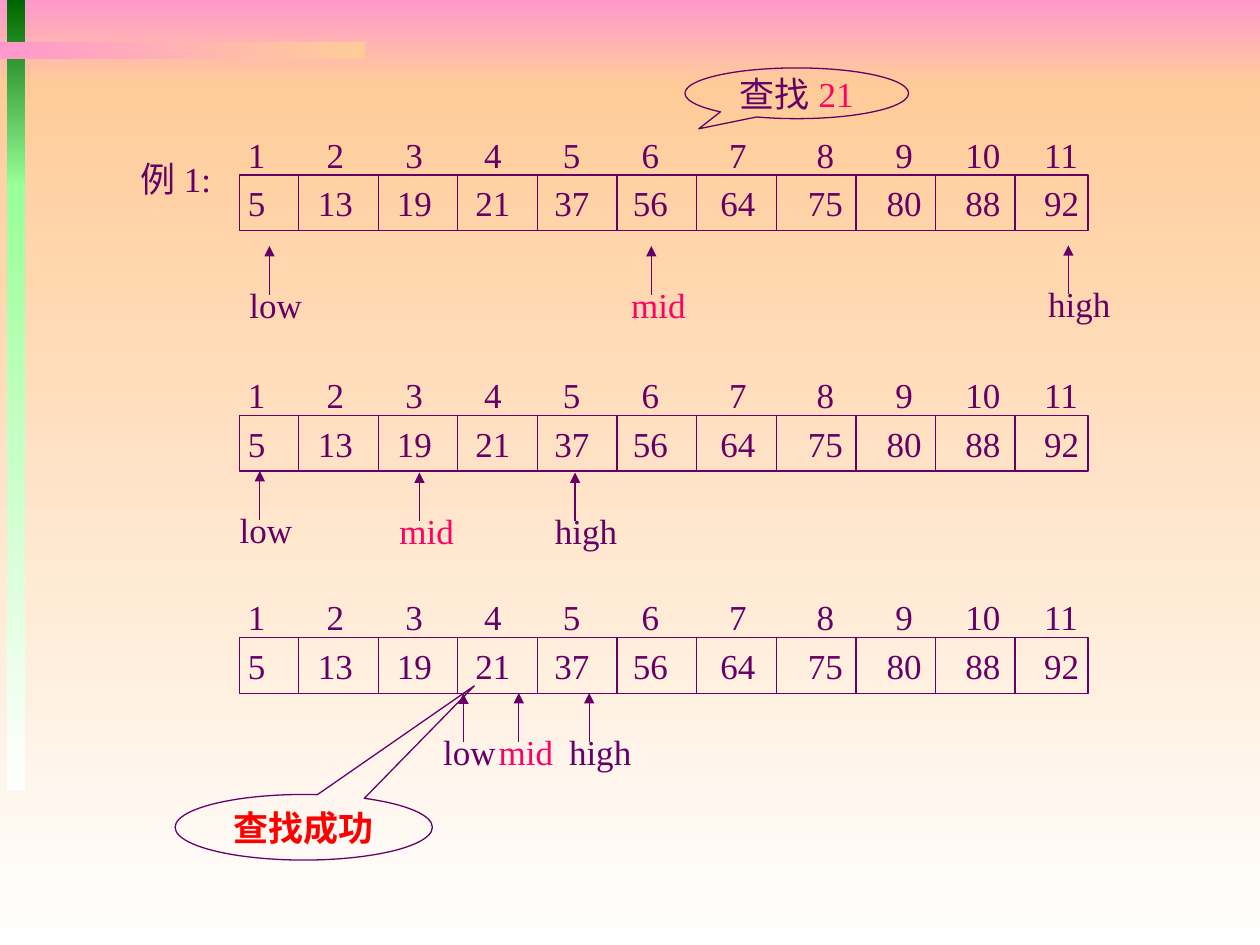
"""Build a slide that traces a binary search for 21 through three steps."""
import pptx
import pptx.util
import pptx.dml.color
import pptx.enum.shapes
import pptx.enum.text
import pptx.oxml.ns
import lxml.etree

Pt = pptx.util.Pt
SHAPES = pptx.enum.shapes.MSO_SHAPE
ALIGN = pptx.enum.text.PP_ALIGN
COLORS = {
    "ink": "660066", "mid": "FF0066", "found": "FF0000", "pink": "FF99CC",
    "peach": "FFCC99", "white": "FFFFFF", "forest": "006600", "mint": "99FF99",
}


def color(name):
    return pptx.dml.color.RGBColor.from_string(COLORS[name])


def write(box, runs, align=ALIGN.LEFT, wrap=False, bold=False, tabs=()):
    frame = box.text_frame
    frame.word_wrap = wrap
    para = frame.paragraphs[0]
    para.alignment = align
    if tabs:
        properties = para._p.get_or_add_pPr()
        stops = lxml.etree.SubElement(properties, pptx.oxml.ns.qn("a:tabLst"))
        for position in tabs:
            lxml.etree.SubElement(stops, pptx.oxml.ns.qn("a:tab"), pos=str(Pt(position)), algn="l")
    for text, name in runs:
        span = para.add_run()
        span.text = text
        span.font.size = Pt(20)
        span.font.name = "Times New Roman"
        span.font.bold = bold
        span.font.color.rgb = color(name)


deck = pptx.Presentation()
deck.slide_width, deck.slide_height = Pt(720), Pt(540)
page = deck.slides.add_slide(deck.slide_layouts[6])
shapes = page.shapes

bands = [
    (0, 0, 720, 48.5, "pink", "peach", 270),
    (0, 48, 720, 492, "peach", "white", 270),
    (4, 0, 10.3, 106.5, "forest", "mint", 270),
    (4, 105, 10.3, 346.5, "mint", "white", 270),
    (0, 24, 208.4, 9.8, "pink", "peach", 0),
]
for left, top, width, height, start, end, angle in bands:
    band = shapes.add_shape(SHAPES.RECTANGLE, Pt(left), Pt(top), Pt(width), Pt(height))
    band.shadow.inherit = False
    band.line.fill.background()
    band.fill.gradient()
    band.fill.gradient_angle = angle
    for stop, name in zip(band.fill.gradient_stops, (start, end)):
        stop.color.rgb = color(name)

label = shapes.add_textbox(Pt(73.2), Pt(86.5), Pt(60), Pt(31.5))
write(label, [("例1:", "ink")])

indexes = [str(number) for number in range(1, 12)]
values = ["5", "13", "19", "21", "37", "56", "64", "75", "80", "88", "92"]
index_tabs = [45, 90, 135, 180, 225, 275, 325, 370, 410, 455]
value_tabs = [40, 85, 130, 175, 220, 270, 320, 365, 410, 455]
label_widths = {"low": 45, "mid": 46, "high": 50.5}
array_left, array_width, array_height = 137, 484.8, 31.8
arrow_length = 27.8

steps = [
    (100.1, {"low": (154, 140.6), "high": (610.5, 140.2), "mid": (372.2, 140.6)}),
    (237.4, {"low": (148.5, 269.2), "high": (328.6, 270), "mid": (239.7, 270)}),
    (364.5, {"low": (264.8, 396.3), "high": (336.7, 396), "mid": (296.5, 396)}),
]
for top, pointers in steps:
    index_row = shapes.add_textbox(Pt(134.6), Pt(top - 27.5), Pt(490), Pt(31.5))
    write(index_row, [("\t".join(indexes), "ink")], wrap=True, tabs=index_tabs)

    array = shapes.add_shape(
        SHAPES.RECTANGLE, Pt(array_left), Pt(top), Pt(array_width), Pt(array_height))
    array.shadow.inherit = False
    array.fill.background()
    array.line.color.rgb = color("ink")
    array.line.width = Pt(0.75)
    array.text_frame.margin_left = Pt(4.7)
    array.text_frame.margin_right = Pt(0)
    write(array, [("\t".join(values), "ink")], wrap=True, tabs=value_tabs)

    dividers = [170.6 + 45.5 * column for column in range(10)]
    lines = [(x, top, top + array_height, False) for x in dividers]
    lines += [(x, tip + arrow_length, tip, True) for x, tip in pointers.values()]
    for x, start, end, arrow in lines:
        line = shapes.add_connector(
            pptx.enum.shapes.MSO_CONNECTOR.STRAIGHT, Pt(x), Pt(start), Pt(x), Pt(end))
        line.line.color.rgb = color("ink")
        line.line.width = Pt(0.75)
        if arrow:
            lxml.etree.SubElement(
                line.line._get_or_add_ln(), pptx.oxml.ns.qn("a:tailEnd"), type="triangle")
        lxml.etree.SubElement(line._element.spPr, pptx.oxml.ns.qn("a:effectLst"))

    for name, (x, tip) in pointers.items():
        pointer = shapes.add_textbox(
            Pt(x - 18.6), Pt(tip + 17.8), Pt(label_widths[name]), Pt(31.5))
        write(pointer, [(name, "mid" if name == "mid" else "ink")])

callouts = [
    (391.4, 38.8, 127.8, 29, (-0.438, 0.7), [("查找", "ink"), ("21", "mid")], False),
    (100.1, 454, 147, 37.5, (0.663, -2.156), [("查找成功", "found")], True),
]
for left, top, width, height, pointer, runs, bold in callouts:
    callout = shapes.add_shape(SHAPES.OVAL_CALLOUT, Pt(left), Pt(top), Pt(width), Pt(height))
    callout.shadow.inherit = False
    callout.fill.background()
    callout.line.color.rgb = color("ink")
    callout.line.width = Pt(0.75)
    callout.adjustments[0], callout.adjustments[1] = pointer
    write(callout, runs, align=ALIGN.CENTER, bold=bold)

deck.save("out.pptx")
